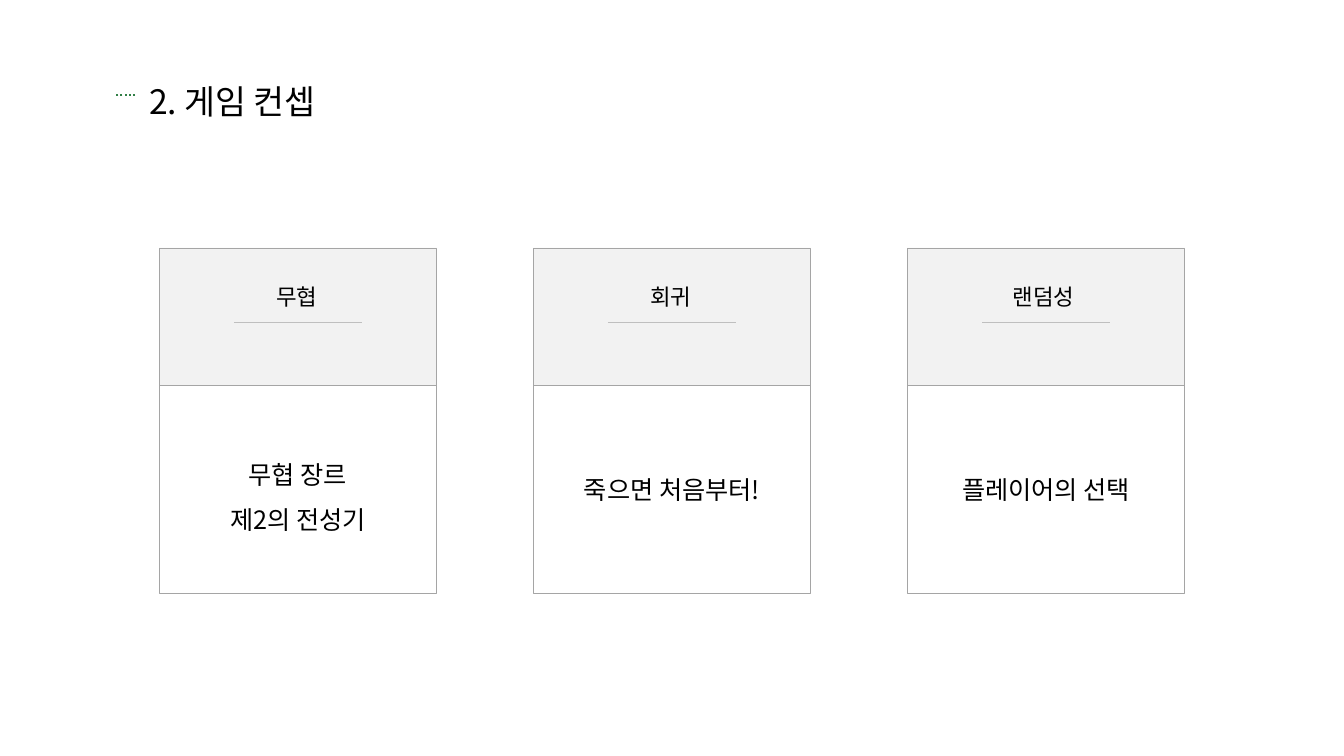
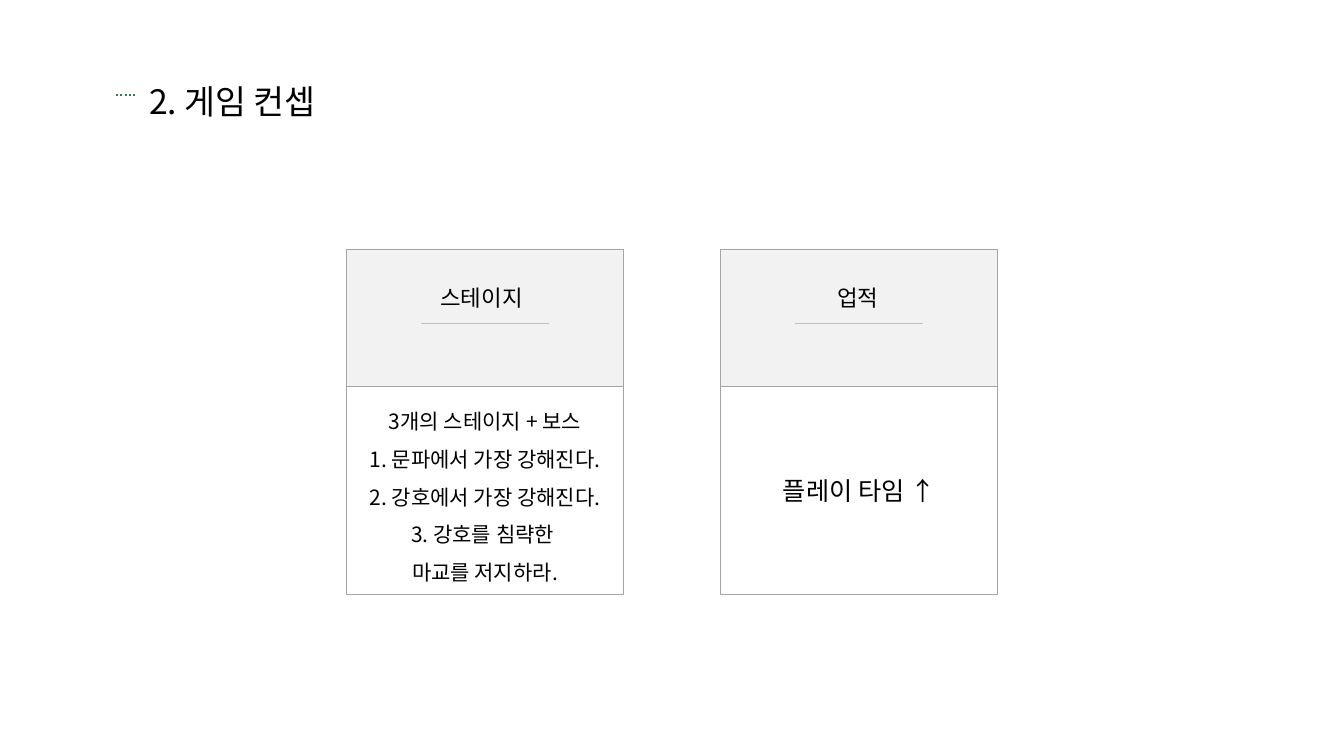
from lxml import etree
from pptx import Presentation, util as u
from pptx.dml.color import RGBColor
from pptx.enum import dml, shapes, text
from pptx.oxml import ns

FACE = "Noto Sans CJK KR"
TITLE = "2. 게임 컨셉"
PAGES = [
    {"top": 2.46, "cards": [
        ("무협", 18, ["무협 장르", "제2의 전성기"]),
        ("회귀", 18, ["죽으면 처음부터!"]),
        ("랜덤성", 18, ["플레이어의 선택"]),
    ]},
    {"top": 2.47, "cards": [
        ("스테이지", 15, [
            "3개의 스테이지 + 보스",
            "1. 문파에서 가장 강해진다.",
            "2. 강호에서 가장 강해진다.",
            "3. 강호를 침략한 ",
            "마교를 저지하라.",
        ]),
        ("업적", 18, ["플레이 타임 ↑"]),
    ]},
]
INK, GREEN, PALE, EDGE, RULE = "000000", "317F46", "F2F2F2", "A5A5A5", "BFBFBF"
WIDE, HIGH = 13.33, 7.5
CARD, STEP = 2.75, 3.71
HEAD, BODY = 1.36, 2.07
BAR, DROP = 1.27, 0.74
GLYPH, INSET = 0.225, 0.1
LABEL = {"word_wrap": False, "auto_size": text.MSO_AUTO_SIZE.SHAPE_TO_FIT_TEXT}
PANEL = {"word_wrap": True, "vertical_anchor": text.MSO_ANCHOR.MIDDLE}


def color(code):
    return RGBColor.from_string(code)


def put(obj, fmt):
    for key, val in fmt.items():
        setattr(obj, key, val)


def box(*dims):
    return [u.Inches(d) for d in dims]


def write(frame, lines, size, fmt, para):
    put(frame, fmt)
    for i, line in enumerate(lines):
        p = frame.add_paragraph() if i else frame.paragraphs[0]
        put(p, para)
        run = p.add_run()
        run.text = line
        put(run.font, {"size": u.Pt(size), "name": FACE})
        run.font.color.rgb = color(INK)
        ea = etree.SubElement(run.font._element, ns.qn("a:ea"))
        ea.set("typeface", FACE)


def label(slide, dims, line, size):
    frame = slide.shapes.add_textbox(*box(*dims)).text_frame
    write(frame, [line], size, LABEL, {"alignment": text.PP_ALIGN.LEFT})


def stroke(slide, x1, x2, y, code, width, dash=None):
    rule = slide.shapes.add_connector(
        shapes.MSO_CONNECTOR.STRAIGHT, *box(x1, y, x2, y))
    rule.line.color.rgb = color(code)
    put(rule.line, {"width": u.Pt(width), "dash_style": dash})
    etree.SubElement(rule._element.spPr, ns.qn("a:effectLst"))


def panel(slide, dims, fill=None):
    rect = slide.shapes.add_shape(shapes.MSO_SHAPE.RECTANGLE, *box(*dims))
    rect.shadow.inherit = False
    if fill:
        rect.fill.solid()
        rect.fill.fore_color.rgb = color(fill)
    else:
        rect.fill.background()
    rect.line.color.rgb = color(EDGE)
    rect.line.width = u.Pt(0.5)
    return rect


def card(slide, left, top, name, size, lines):
    mid = left + CARD / 2
    panel(slide, (left, top, CARD, HEAD), PALE)
    body = panel(slide, (left, top + HEAD, CARD, BODY))
    para = {"alignment": text.PP_ALIGN.CENTER}
    if len(lines) > 1:
        para["line_spacing"] = 1.5
    write(body.text_frame, lines, size, PANEL, para)
    stroke(slide, mid - BAR / 2, mid + BAR / 2, top + DROP, RULE, 0.5)
    wide = GLYPH * len(name) + 2 * INSET
    label(slide, (mid - wide / 2 + 0.01, top + 0.3, wide, 0.37), name, 16)


def header(slide):
    stroke(slide, 1.34, 1.14, 0.94, GREEN, 1.5, dml.MSO_LINE.ROUND_DOT)
    label(slide, (1.38, 0.75, 2.05, 0.5), TITLE, 24)


def main():
    deck = Presentation()
    put(deck, {"slide_width": u.Inches(WIDE), "slide_height": u.Inches(HIGH)})
    for page in PAGES:
        slide = deck.slides.add_slide(deck.slide_layouts[6])
        header(slide)
        cards = page["cards"]
        start = (WIDE - CARD - STEP * (len(cards) - 1)) / 2
        for i, item in enumerate(cards):
            card(slide, start + i * STEP, page["top"], *item)
    deck.save("out.pptx")


if __name__ == "__main__":
    main()
